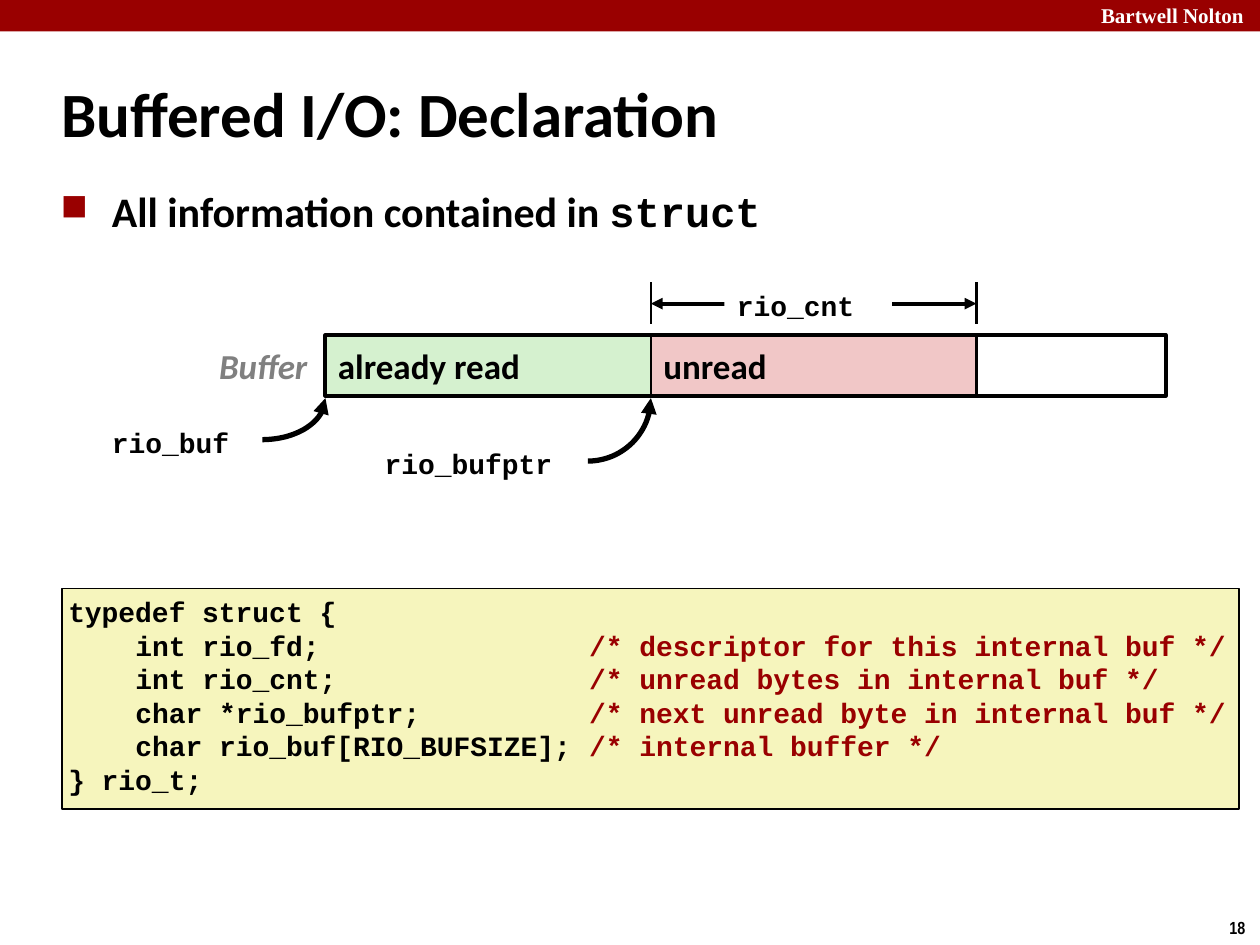
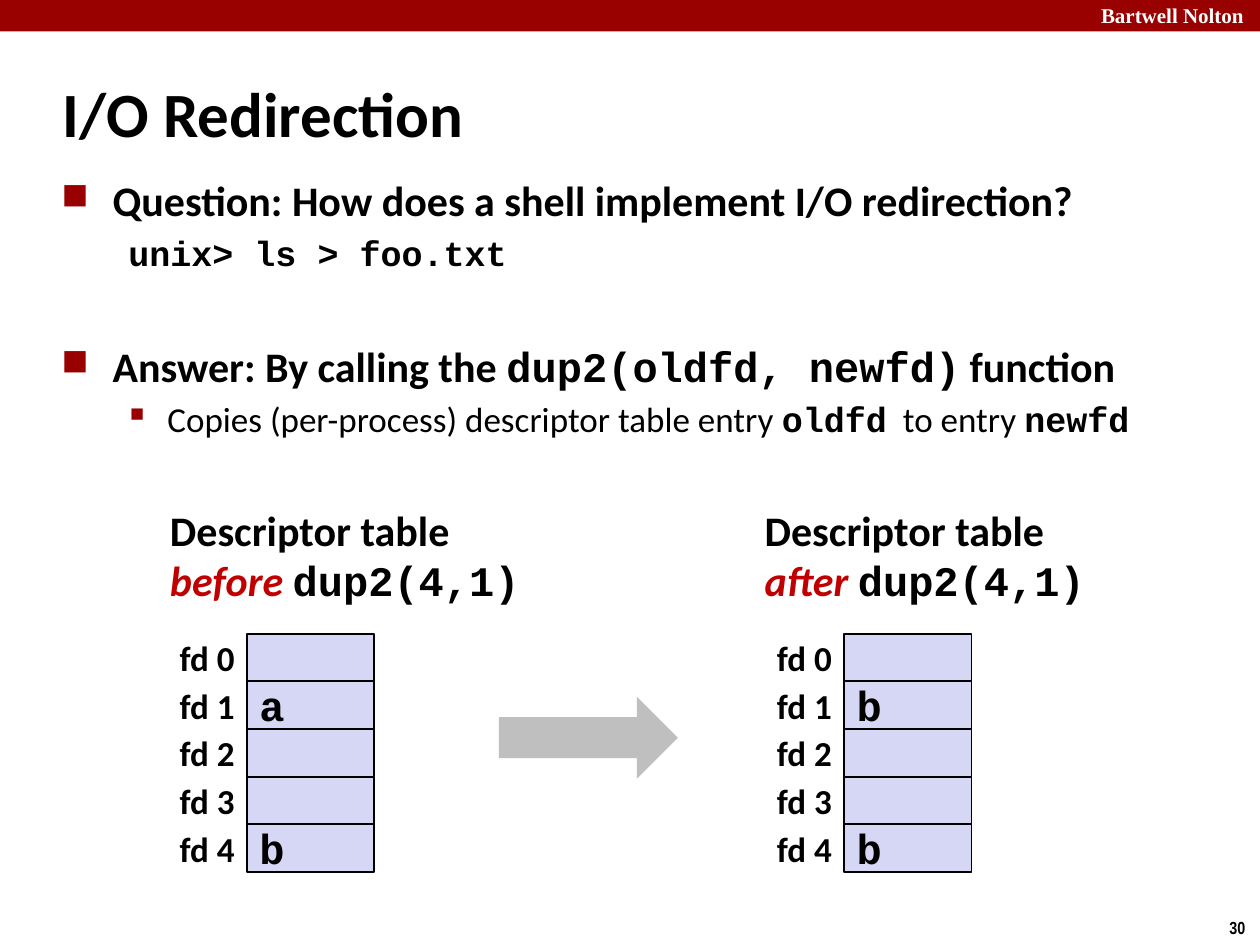
from dataclasses import dataclass
from math import cos, pi, sin

from lxml.etree import SubElement
from pptx import Presentation
from pptx.dml.color import RGBColor
from pptx.enum.shapes import MSO_CONNECTOR, MSO_SHAPE
from pptx.enum.text import MSO_ANCHOR, PP_ALIGN
from pptx.oxml.ns import qn
from pptx.util import Inches, Pt

COLUMNS, ROWS = 100, 75
WIDTH, HEIGHT = Inches(10), Inches(7.5)


@dataclass(frozen=True)
class Style:
    font: str = "Calibri"
    size: float = 24
    color: str = "000000"
    bold: bool = True
    italic: bool = False


@dataclass(frozen=True)
class Bullet:
    font: str
    char: str
    percent: int


@dataclass(frozen=True)
class Theme:
    black: str = "000000"
    white: str = "FFFFFF"
    crimson: str = "990000"
    cream: str = "F6F5BD"
    green: str = "D5F1CF"
    pink: str = "F1C7C7"
    lavender: str = "D6D6F5"
    silver: str = "BFBFBF"
    brand: Style = Style("Times New Roman", 12, "FFFFFF")
    number: Style = Style("Arial Narrow", 10)
    title: Style = Style(size=36)
    body: Style = Style()
    body_code: Style = Style("Courier New")
    detail: Style = Style(size=20, bold=False)
    label: Style = Style(size=20)
    detail_code: Style = Style("Courier New", 20)
    code: Style = Style("Courier New", 16)
    comment: Style = Style("Courier New", 16, "990000")
    faded: Style = Style(size=20, color="808080", italic=True)
    accent: Style = Style(color="C00000", italic=True)
    square: Bullet = Bullet("Wingdings 2", "\uf0a2", 60)
    small_square: Bullet = Bullet("Wingdings", "\u00a7", 110)


THEME = Theme()


@dataclass(frozen=True)
class Para:
    spans: tuple
    before: float = 0
    margin: float = 0
    hanging: float = 0
    bullet: Bullet | None = None


def col(count):
    return round(WIDTH * count / COLUMNS)


def row(count):
    return round(HEIGHT * count / ROWS)


def box(left, top, width, height):
    return col(left), row(top), col(width), row(height)


def rgb(value):
    return RGBColor.from_string(value)


def line(text, style, margin=0):
    return Para(((text, style),), margin=margin)


def point(*spans, before=5):
    return Para(spans, before, 3.75, 3.75, THEME.square)


def detail(*spans, bullet=None):
    return Para(spans, 4, 8.1, 3.1, bullet)


def format_paragraph(paragraph, para):
    for text, style in para.spans:
        run = paragraph.add_run()
        run.text = text
        font = run.font
        font.name, font.size = style.font, Pt(style.size)
        font.bold, font.italic = style.bold, style.italic
        font.color.rgb = rgb(style.color)
    paragraph.space_before = Pt(para.before)
    props = paragraph._p.get_or_add_pPr()
    props.set("marL", str(col(para.margin)))
    props.set("indent", str(-col(para.hanging)))
    if para.bullet:
        SubElement(SubElement(props, qn("a:buClr")), qn("a:srgbClr"), val=THEME.crimson)
        SubElement(props, qn("a:buSzPct"), val=str(para.bullet.percent * 1000))
        SubElement(props, qn("a:buFont"), typeface=para.bullet.font, charset="2")
        SubElement(props, qn("a:buChar"), char=para.bullet.char)
    else:
        SubElement(props, qn("a:buNone"))


def write(shape, paras, anchor=MSO_ANCHOR.TOP, align=PP_ALIGN.LEFT, wrap=True, inset=None):
    frame = shape.text_frame
    frame.word_wrap, frame.vertical_anchor = wrap, anchor
    if inset is not None:
        frame.margin_left = frame.margin_right = col(inset)
        frame.margin_top = frame.margin_bottom = row(inset)
    for index, para in enumerate(paras):
        paragraph = frame.add_paragraph() if index else frame.paragraphs[0]
        paragraph.alignment = align
        format_paragraph(paragraph, para)


def add_text(shapes, place, *paras, **layout):
    write(shapes.add_textbox(*box(*place)), paras, **layout)


def add_block(shapes, place, fill=None, border=0, kind=MSO_SHAPE.RECTANGLE):
    block = shapes.add_shape(kind, *box(*place))
    block.shadow.inherit = False
    if fill:
        block.fill.solid()
        block.fill.fore_color.rgb = rgb(fill)
    else:
        block.fill.background()
    if border:
        draw_outline(block, border)
    else:
        block.line.fill.background()
    return block


def draw_outline(shape, weight, ends=()):
    shape.line.color.rgb = rgb(THEME.black)
    shape.line.width = Pt(weight)
    outline = shape._element.spPr.find(qn("a:ln"))
    for end in ends:
        SubElement(outline, qn("a:" + end), type="triangle")


def add_line(shapes, start, finish, weight, ends=()):
    rule = shapes.add_connector(MSO_CONNECTOR.STRAIGHT, col(start[0]), row(start[1]),
                                col(finish[0]), row(finish[1]))
    draw_outline(rule, weight, ends)
    SubElement(rule._element.spPr, qn("a:effectLst"))


def add_pointer(shapes, tip, width, height, steps=24):
    left, top = tip[0] - width, tip[1]
    angles = [pi / 2 * step / steps for step in range(steps + 1)]
    points = [(col(left + width * cos(a)), row(top + height * sin(a))) for a in angles]
    builder = shapes.build_freeform(*points[0], scale=1.0)
    builder.add_line_segments(points[1:], close=False)
    curve = builder.convert_to_shape()
    curve.shadow.inherit = False
    curve.fill.background()
    draw_outline(curve, 3, ["headEnd"])


def start_slide(deck, title, number, title_left):
    shapes = deck.slides.add_slide(deck.slide_layouts[6]).shapes
    add_block(shapes, (0, 0, COLUMNS, 2.5), THEME.crimson)
    add_text(shapes, (86.4, -0.3, 14.3, 3), line("Bartwell Nolton", THEME.brand))
    add_text(shapes, (96.6, 72.3, 3.4, 2.7), line(str(number), THEME.number), wrap=False)
    add_text(shapes, (title_left, 4.8, 83, 8.3),
             Para(((title, THEME.title),), margin=1.25, hanging=1.25),
             anchor=MSO_ANCHOR.MIDDLE)
    return shapes


def add_buffer(shapes):
    start, top, part, height = 25.83, 26.6, 25.83, 4.8
    unread, free = start + part, start + 2 * part
    for left, text, fill in ((unread, "unread", THEME.pink),
                             (start, "already read", THEME.green)):
        segment = add_block(shapes, (left, top, part, height), fill, 1.5)
        write(segment, [line(text, THEME.label)], anchor=MSO_ANCHOR.MIDDLE)
    add_block(shapes, (start, top, 66.7, height), border=2.25)
    add_text(shapes, (16.4, 26.85, 9.3, 4.4), line("Buffer", THEME.faded), wrap=False)

    for tip, drop in ((start, 3.3), (unread, 5)):
        add_pointer(shapes, (tip, 31.6), 5, drop)
    add_text(shapes, (7.9, 33.25, 11.4, 3.4), line("rio_buf", THEME.code))
    add_text(shapes, (29.55, 34.95, 17.5, 3.4), line("rio_bufptr", THEME.code))

    for edge in (unread, free):
        add_line(shapes, (edge, 25.7), (edge, 22.4), 1.5)
    add_line(shapes, (unread, 24.1), (free, 24.1), 2.25, ("headEnd", "tailEnd"))
    count = add_block(shapes, (57.5, 22.4, 13.3, 3.4), THEME.white)
    write(count, [line("rio_cnt", THEME.code)])


def add_struct(shapes):
    fields = (("int rio_fd;", "descriptor for this internal buf"),
              ("int rio_cnt;", "unread bytes in internal buf"),
              ("char *rio_bufptr;", "next unread byte in internal buf"),
              ("char rio_buf[RIO_BUFSIZE];", "internal buffer"))
    left, top, width, height, inset = 4.92, 46.7, 93.4, 17.5, 0.5
    character, line_height = 4 / 3, 2.67
    notes = 31 * character
    listing = add_block(shapes, (left, top, width, height), THEME.cream, 1)
    write(listing, [line("typedef struct {", THEME.code),
                    *(line(code, THEME.code, 4 * character) for code, _ in fields),
                    line("} rio_t;", THEME.code)], inset=inset)
    add_text(shapes, (left + notes, top + line_height, width - notes,
                      len(fields) * line_height + 2 * inset),
             *(line(f"/* {note} */", THEME.comment) for _, note in fields), inset=inset)


def add_descriptors(shapes, left, caption_left, moment, entries):
    top, width, height = 50.3, 10.1, 3.78
    group = shapes.add_group_shape().shapes
    for index, entry in enumerate(entries):
        y = top + index * height
        cell = add_block(group, (left, y, width, height), THEME.lavender, 1)
        if entry:
            write(cell, [line(entry, THEME.body_code)], anchor=MSO_ANCHOR.MIDDLE)
        add_text(group, (left - width, y, width, height), line(f"fd {index}", THEME.label),
                 anchor=MSO_ANCHOR.MIDDLE, align=PP_ALIGN.RIGHT)
    add_text(shapes, (caption_left, 39.45, 30.1, 9.1), line("Descriptor table", THEME.body),
             Para(((moment + " ", THEME.accent), ("dup2(4,1)", THEME.body_code))),
             anchor=MSO_ANCHOR.MIDDLE)


def build_declaration(deck):
    shapes = start_slide(deck, "Buffered I/O: Declaration", 18, 3.9)
    add_text(shapes, (4.15, 14.2, 90.9, 6.6),
             point(("All information contained in ", THEME.body),
                   ("struct", THEME.body_code)))
    add_struct(shapes)
    add_buffer(shapes)


def build_redirection(deck):
    shapes = start_slide(deck, "I/O Redirection", 30, 4)
    add_text(
        shapes, (4.2, 13.35, 90.8, 20.8),
        point(("Question: How does a shell implement I/O redirection?", THEME.body)),
        detail(("unix> ls > foo.txt", THEME.detail_code)),
        point(("Answer: By calling the ", THEME.body),
              ("dup2(oldfd, newfd)", THEME.body_code),
              (" function", THEME.body), before=38),
        detail(("Copies (per-process) descriptor table entry ", THEME.detail),
               ("oldfd", THEME.detail_code), ("  to entry ", THEME.detail),
               ("newfd", THEME.detail_code), bullet=THEME.small_square))
    add_descriptors(shapes, 19.6, 12.5, "before", ("", "a", "", "", "b"))
    add_descriptors(shapes, 67, 59.7, "after", ("", "b", "", "", "b"))
    add_block(shapes, (39.6, 55.3, 14.2, 6.5), THEME.silver, kind=MSO_SHAPE.RIGHT_ARROW)


def main():
    deck = Presentation()
    deck.slide_width, deck.slide_height = WIDTH, HEIGHT
    build_declaration(deck)
    build_redirection(deck)
    deck.save("out.pptx")


main()
